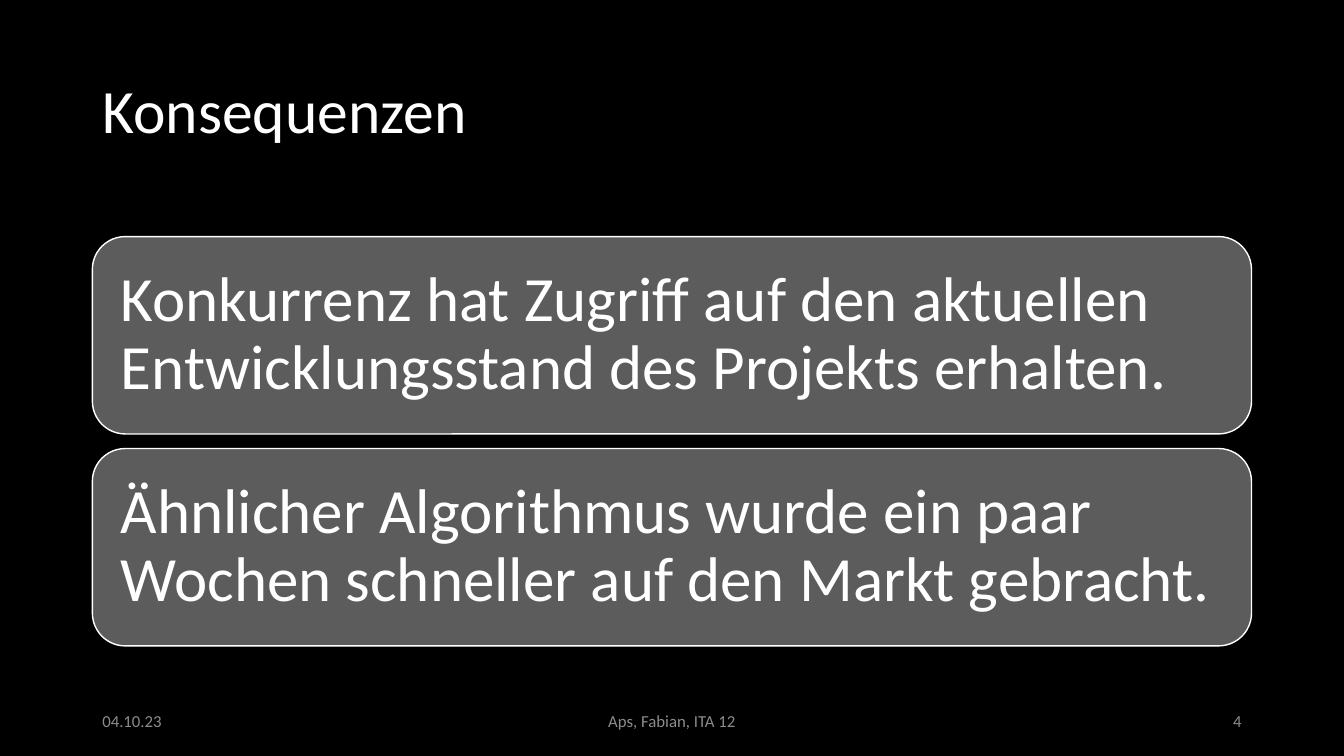
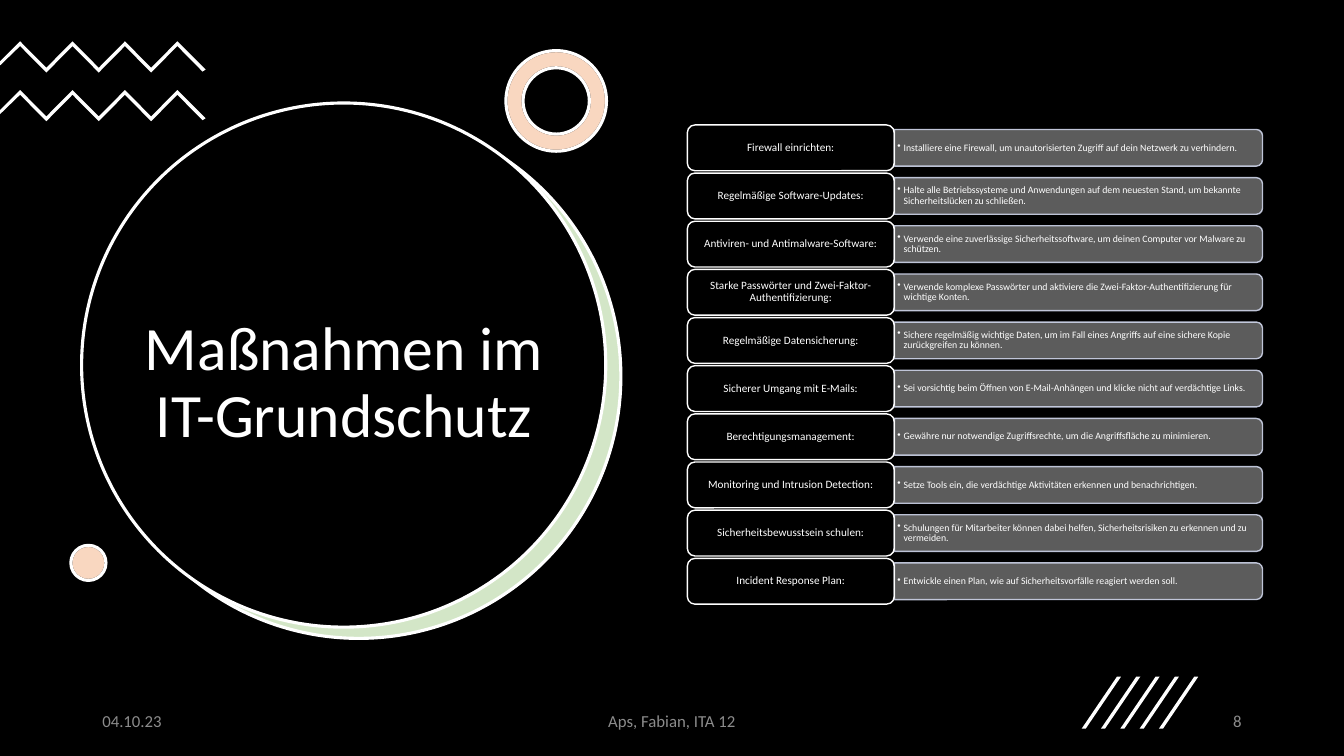
from pptx import Presentation
from pptx.dml.color import RGBColor
from pptx.enum.shapes import MSO_SHAPE as SHAPE
from pptx.enum.text import MSO_ANCHOR as ANCHOR, PP_ALIGN as ALIGN
from pptx.oxml.ns import qn
from pptx.util import Pt
from lxml.etree import SubElement

BLACK = RGBColor(0x00, 0x00, 0x00)
WHITE = RGBColor(0xFF, 0xFF, 0xFF)
GREY = RGBColor(0x8C, 0x8C, 0x8C)
GREEN = RGBColor(0x70, 0xAD, 0x47)
ORANGE = RGBColor(0xED, 0x7D, 0x31)
PALE_BLUE = RGBColor(0xCF, 0xD5, 0xEA)
FONT = "Calibri"


def style(sp, fill=None, line=None, width=1, alphas=()):
    sp.shadow.inherit = False
    for part, color in ((sp.fill, fill), (sp.line.fill, line)):
        if color is None:
            part.background()
        else:
            part.solid()
            part.fore_color.rgb = color
    if line is not None:
        sp.line.width = Pt(width)
    for clr, percent in zip(sp._element.spPr.iter(qn("a:srgbClr")), alphas):
        SubElement(clr, qn("a:alpha"), val=str(percent * 1000))
    return sp


def write(sp, text, size, align=ALIGN.LEFT, color=WHITE, inset=(7.2, 3.6), spacing=0.9):
    tf = sp.text_frame
    frame = {
        "word_wrap": True,
        "vertical_anchor": ANCHOR.MIDDLE,
        "margin_left": Pt(inset[0]),
        "margin_right": Pt(inset[0]),
        "margin_top": Pt(inset[1]),
        "margin_bottom": Pt(inset[1]),
    }
    for name, value in frame.items():
        setattr(tf, name, value)
    p = tf.paragraphs[0]
    p.alignment = align
    p.line_spacing = spacing
    r = p.add_run()
    r.text = text
    r.font.name = FONT
    r.font.size = Pt(size)
    r.font.color.rgb = color
    return p


prs = Presentation()
prs.slide_width, prs.slide_height = Pt(960), Pt(540)
background = prs.slide_master.background.fill
background.solid()
background.fore_color.rgb = BLACK
title_only = prs.slide_layouts[5]

pages = [
    ("Konsequenzen", (66, 28.75, 828, 104.4), ALIGN.LEFT, "4"),
    ("Maßnahmen im IT-Grundschutz", (87.1, 147.6, 317.5, 253.4), ALIGN.CENTER, "8"),
]
slides = []
for heading, box, align, number in pages:
    s = prs.slides.add_slide(title_only)
    title = s.shapes.title
    title.left, title.top, title.width, title.height = map(Pt, box)
    write(title, heading, 44, align)
    footers = [
        (66, 216, "04.10.23", ALIGN.LEFT),
        (318, 324, "Aps, Fabian, ITA 12", ALIGN.CENTER),
        (678, 216, number, ALIGN.RIGHT),
    ]
    for x, w, text, footer_align in footers:
        sp = s.shapes.add_textbox(Pt(x), Pt(500.5), Pt(w), Pt(28.75))
        write(sp, text, 12, footer_align, GREY, spacing=1)
    slides.append(s)

consequences, measures = slides

statements = [
    "Konkurrenz hat Zugriff auf den aktuellen Entwicklungsstand des Projekts erhalten.",
    "Ähnlicher Algorithmus wurde ein paar Wochen schneller auf den Markt gebracht.",
]
for i, text in enumerate(statements):
    sp = consequences.shapes.add_shape(
        SHAPE.ROUNDED_RECTANGLE, Pt(66), Pt(169 + 151.4 * i), Pt(828), Pt(141)
    )
    style(sp, WHITE, WHITE, alphas=(36,))
    write(sp, text, 45, inset=(13.5, 13.5))

shapes = measures.shapes
circles = [
    (SHAPE.OVAL, 69.8, 82.1, 374.4, WHITE, None, ()),
    (SHAPE.OVAL, 69.1, 81.6, 374.4, GREEN, WHITE, (30,)),
    (SHAPE.OVAL, 58.3, 73.6, 374.4, BLACK, WHITE, ()),
    (SHAPE.DONUT, 361.4, 36.2, 71.8, WHITE, BLACK, ()),
    (SHAPE.DONUT, 361.4, 36.2, 71.8, ORANGE, WHITE, (30,)),
    (SHAPE.OVAL, 50.6, 389.5, 25.1, WHITE, BLACK, ()),
    (SHAPE.OVAL, 50.6, 389.5, 25.1, ORANGE, WHITE, (30,)),
]
for kind, x, y, size, fill, line, alphas in circles:
    sp = shapes.add_shape(kind, Pt(x), Pt(y), Pt(size), Pt(size))
    if kind == SHAPE.DONUT:
        sp.adjustments[0] = 0.17
    style(sp, fill, line, 2.25, alphas)
shapes._spTree.append(shapes.title._element)

teeth = [(14.4 + 18.72 * i, 18.9 * (i % 2)) for i in range(7)]
zigzag = teeth + [(146.9, 20.2), (144.7, 21.6)]
zigzag += [(x, y + 3.4) for x, y in reversed(teeth)] + [(0, 17.3), (0, 14.4)]
slash = [(2.9, 37.1), (0, 37.1), (25.2, 0), (28.1, 0)]
outlines = [(zigzag, 0, y) for y in (29.5, 64.3)]
outlines += [(slash, 772.6 + 13.8 * i, 483.4) for i in range(5)]
for outline, dx, dy in outlines:
    points = [(Pt(x + dx), Pt(y + dy)) for x, y in outline]
    builder = shapes.build_freeform(*points[0])
    builder.add_line_segments(points[1:], close=True)
    style(builder.convert_to_shape(), WHITE)

steps = [
    ("Firewall einrichten:",
     "Installiere eine Firewall, um unautorisierten Zugriff auf dein Netzwerk zu verhindern."),
    ("Regelmäßige Software-Updates:",
     "Halte alle Betriebssysteme und Anwendungen auf dem neuesten Stand, um bekannte "
     "Sicherheitslücken zu schließen."),
    ("Antiviren- und Antimalware-Software:",
     "Verwende eine zuverlässige Sicherheitssoftware, um deinen Computer vor Malware zu schützen."),
    ("Starke Passwörter und Zwei-Faktor-Authentifizierung:",
     "Verwende komplexe Passwörter und aktiviere die Zwei-Faktor-Authentifizierung für "
     "wichtige Konten."),
    ("Regelmäßige Datensicherung:",
     "Sichere regelmäßig wichtige Daten, um im Fall eines Angriffs auf eine sichere Kopie "
     "zurückgreifen zu können."),
    ("Sicherer Umgang mit E-Mails:",
     "Sei vorsichtig beim Öffnen von E-Mail-Anhängen und klicke nicht auf verdächtige Links."),
    ("Berechtigungsmanagement:",
     "Gewähre nur notwendige Zugriffsrechte, um die Angriffsfläche zu minimieren."),
    ("Monitoring und Intrusion Detection:",
     "Setze Tools ein, die verdächtige Aktivitäten erkennen und benachrichtigen."),
    ("Sicherheitsbewusstsein schulen:",
     "Schulungen für Mitarbeiter können dabei helfen, Sicherheitsrisiken zu erkennen und zu "
     "vermeiden."),
    ("Incident Response Plan:",
     "Entwickle einen Plan, wie auf Sicherheitsvorfälle reagiert werden soll."),
]
label_x, label_w, label_h = 491, 147.8, 32.7
bar_x, bar_w, bar_h = label_x + label_w, 263, 26.2
for i, (label, detail) in enumerate(steps):
    middle = 105.6 + 34.4 * i
    bar = shapes.add_shape(
        SHAPE.ROUND_2_SAME_RECTANGLE,
        Pt(bar_x + (bar_w - bar_h) / 2), Pt(middle - bar_w / 2), Pt(bar_h), Pt(bar_w),
    )
    bar.rotation = 90
    style(bar, WHITE, PALE_BLUE, alphas=(36, 90))

    sp = shapes.add_textbox(Pt(bar_x), Pt(middle - 12), Pt(261.4), Pt(24))
    p = write(sp, detail, 7, inset=(2.2, 0.9))
    pPr = p._p.get_or_add_pPr()
    pPr.set("marL", str(Pt(4.5)))
    pPr.set("indent", str(-Pt(4.5)))
    SubElement(pPr, qn("a:buChar"), char="•")

    sp = shapes.add_shape(
        SHAPE.ROUNDED_RECTANGLE, Pt(label_x), Pt(middle - label_h / 2), Pt(label_w), Pt(label_h)
    )
    style(sp, line=WHITE)
    write(sp, label, 8, ALIGN.CENTER, inset=(2.2, 1.4))

prs.save("out.pptx")
